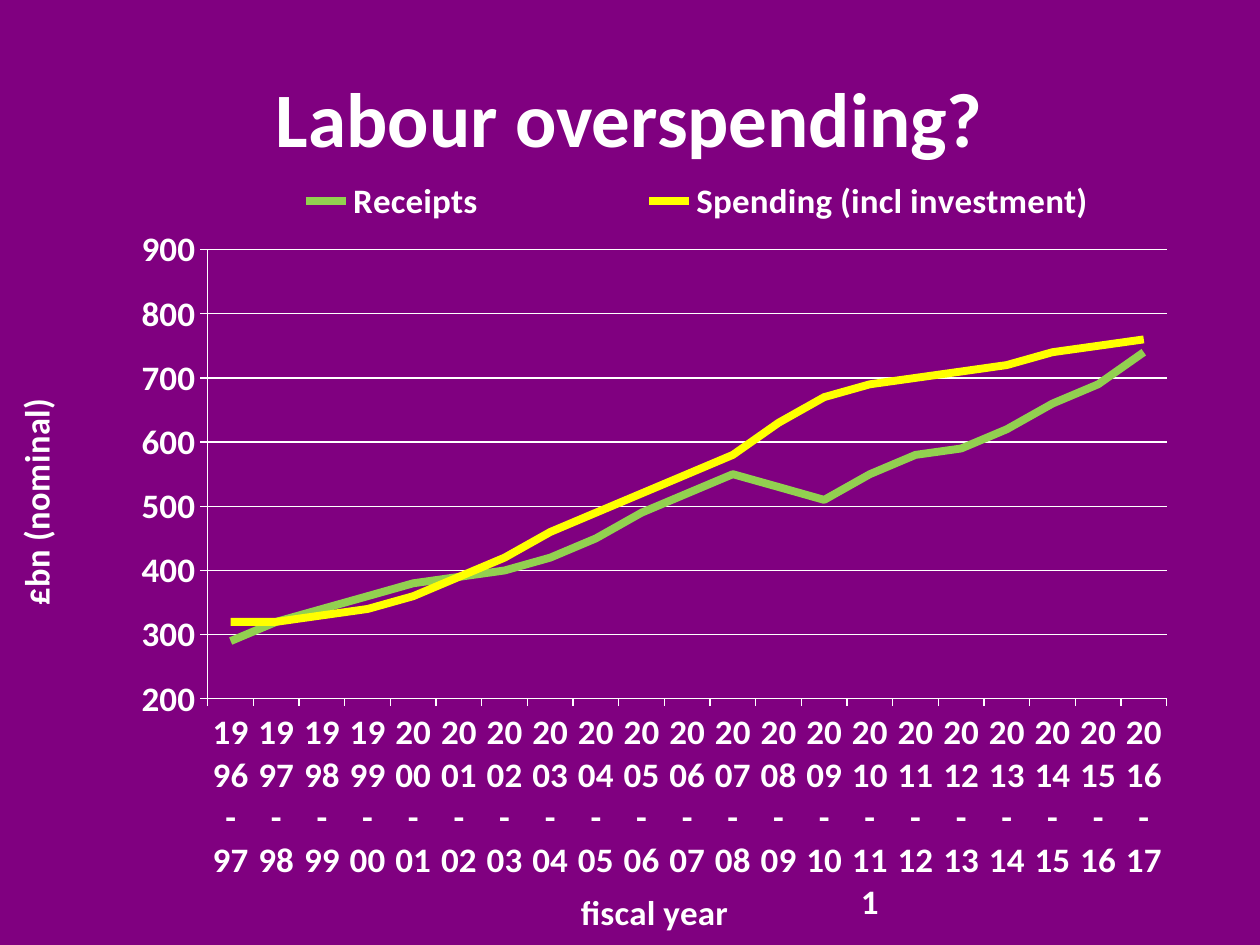
"""Build a slide charting government receipts against spending by fiscal year."""
from dataclasses import dataclass

import pptx
import pptx.chart.data
import pptx.dml.color
import pptx.enum.chart
import pptx.enum.text
import pptx.oxml
import pptx.oxml.ns
import pptx.util
from pptx.util import Inches


@dataclass(frozen=True)
class Theme:
    font: str = "Calibri"
    background: str = "800080"
    ink: str = "FFFFFF"
    title_size: int = 44
    chart_size: int = 20
    trend_width: float = 4.5
    rule_width: float = 0.75


@dataclass(frozen=True)
class Trend:
    name: str
    color: str
    billions: tuple


THEME = Theme()
YEARS = (
    [f"{year}-{(year + 1) % 100:02d}" for year in range(1996, 2010)]
    + ["2010-111"]
    + [f"{year}-{year - 1999}" for year in range(2011, 2017)]
)
TRENDS = (
    Trend("Receipts", "92D050",
          (290, 320, 340, 360, 380, 390, 400, 420, 450, 490, 520,
           550, 530, 510, 550, 580, 590, 620, 660, 690, 740)),
    Trend("Spending (incl investment)", "FFFF00",
          (320, 320, 330, 340, 360, 390, 420, 460, 490, 520, 550,
           580, 630, 670, 690, 700, 710, 720, 740, 750, 760)),
)


def rgb(color: str) -> pptx.dml.color.RGBColor:
    return pptx.dml.color.RGBColor.from_string(color)


def style_font(font, size: float) -> None:
    font.name = THEME.font
    font.size = pptx.util.Pt(size)
    font.bold = True
    font.color.rgb = rgb(THEME.ink)


def style_line(line, color: str, width: float) -> None:
    line.color.rgb = rgb(color)
    line.width = pptx.util.Pt(width)


def place(element, index: int, inner: bool = False, **fractions: float) -> None:
    """Give a chart part a manual layout in fractions of the chart."""
    for previous in element.findall(pptx.oxml.ns.qn("c:layout")):
        element.remove(previous)
    target = '<c:layoutTarget val="inner"/>' if inner else ""
    modes = "".join(f'<c:{key}Mode val="edge"/>' for key in fractions if key in "xy")
    values = "".join(f'<c:{key} val="{value}"/>' for key, value in fractions.items())
    element.insert(index, pptx.oxml.parse_xml(
        f'<c:layout {pptx.oxml.ns.nsdecls("c")}><c:manualLayout>'
        f"{target}{modes}{values}</c:manualLayout></c:layout>"))


def style_axis(axis, title: str, x: float, y: float, rotation: int = 0) -> None:
    axis.major_tick_mark = pptx.enum.chart.XL_TICK_MARK.OUTSIDE
    style_font(axis.tick_labels.font, THEME.chart_size)
    label_body = axis._element.find(
        f'{pptx.oxml.ns.qn("c:txPr")}/{pptx.oxml.ns.qn("a:bodyPr")}')
    label_body.set("rot", "0")
    label_body.set("vert", "horz")
    style_line(axis.format.line, THEME.ink, THEME.rule_width)
    caption = axis.axis_title.text_frame
    caption.text = title
    style_font(caption.paragraphs[0].font, THEME.chart_size)
    caption._txBody.bodyPr.set("rot", str(rotation))
    place(axis.axis_title._element, 1, x=x, y=y)


def add_title(slide, text: str) -> None:
    frame = slide.shapes.add_textbox(
        Inches(0.5), Inches(0.3), Inches(9), Inches(1.25)).text_frame
    frame.word_wrap = True
    frame.vertical_anchor = pptx.enum.text.MSO_ANCHOR.MIDDLE
    frame.text = text
    heading = frame.paragraphs[0]
    heading.alignment = pptx.enum.text.PP_ALIGN.CENTER
    style_font(heading.font, THEME.title_size)


def add_budget_chart(slide) -> None:
    budget = pptx.chart.data.CategoryChartData(number_format="0")
    budget.categories = YEARS
    for trend in TRENDS:
        budget.add_series(trend.name, trend.billions)
    chart = slide.shapes.add_chart(
        pptx.enum.chart.XL_CHART_TYPE.LINE,
        Inches(-0.04), Inches(0.99), Inches(10), Inches(6.51), budget).chart
    chart.has_title = False
    style_font(chart.font, THEME.chart_size)
    place(chart._chartSpace.chart.plotArea, 0, True, x=0.169, y=0.155, w=0.761, h=0.558)

    chart.has_legend = True
    chart.legend.position = pptx.enum.chart.XL_LEGEND_POSITION.RIGHT
    chart.legend.include_in_layout = False
    style_font(chart.legend.font, THEME.chart_size)
    place(chart.legend._element, 1, x=0.12, y=0.06, w=0.875, h=0.07)

    style_axis(chart.category_axis, "fiscal year", 0.46, 0.94)
    chart.category_axis._element.find(pptx.oxml.ns.qn("c:noMultiLvlLbl")).addprevious(
        pptx.oxml.parse_xml(
            f'<c:tickLblSkip {pptx.oxml.ns.nsdecls("c")} val="1"/>'))
    amounts = chart.value_axis
    style_axis(amounts, "£bn (nominal)", 0.008, 0.337, -5400000)
    amounts.minimum_scale, amounts.maximum_scale = 200, 900
    amounts.major_unit = 100
    amounts.tick_labels.number_format = "0"
    amounts.tick_labels.number_format_is_linked = False
    amounts.has_major_gridlines = True
    style_line(amounts.major_gridlines.format.line, THEME.ink, THEME.rule_width)

    chart.plots[0].vary_by_categories = False
    for series, trend in zip(chart.plots[0].series, TRENDS):
        series.smooth = False
        series.marker.style = pptx.enum.chart.XL_MARKER_STYLE.NONE
        style_line(series.format.line, trend.color, THEME.trend_width)


def main() -> None:
    deck = pptx.Presentation()
    deck.slide_width, deck.slide_height = Inches(10), Inches(7.5)
    slide = deck.slides.add_slide(deck.slide_layouts[6])
    slide.background.fill.solid()
    slide.background.fill.fore_color.rgb = rgb(THEME.background)
    add_title(slide, "Labour overspending?")
    add_budget_chart(slide)
    deck.save("out.pptx")


if __name__ == "__main__":
    main()
